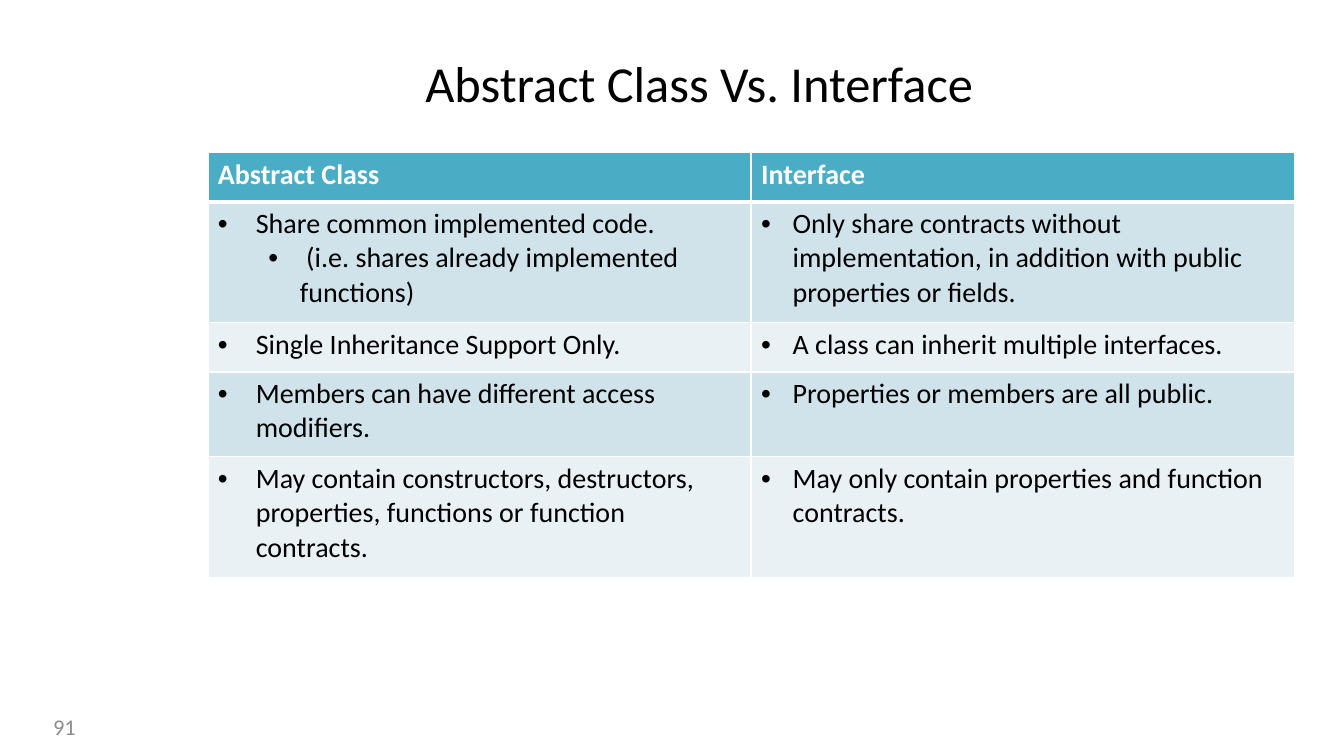
"""Build a slide that compares abstract classes with interfaces in a table."""
from dataclasses import dataclass

from lxml import etree
from pptx import Presentation
from pptx.dml.color import RGBColor
from pptx.enum.text import MSO_ANCHOR, PP_ALIGN
from pptx.oxml.ns import qn
from pptx.util import Pt

CENTER, LEFT, RIGHT = PP_ALIGN.CENTER, PP_ALIGN.LEFT, PP_ALIGN.RIGHT
MIDDLE = MSO_ANCHOR.MIDDLE
TITLE_ONLY = 5


@dataclass(frozen=True)
class Theme:
    font: str = "Calibri"
    bullet_font: str = "Arial"
    ink: str = "000000"
    paper: str = "FFFFFF"
    muted: str = "8C8C8C"
    header: str = "4BACC6"
    bands: tuple = ("D0E3EA", "E9F1F5")
    title_size: int = 36
    table_size: int = 20
    number_size: int = 16
    rule: int = 1
    header_rule: int = 3


class SlideBuilder:
    def __init__(self, deck, theme):
        self.theme = theme
        self.slide = deck.slides.add_slide(deck.slide_layouts[TITLE_ONLY])

    def place(self, shape, box):
        shape.left, shape.top, shape.width, shape.height = map(Pt, box)

    def add_text(self, paragraph, text, size, color, align=LEFT, bold=False):
        paragraph.alignment = align
        run = paragraph.add_run()
        run.text = text
        font = run.font
        font.name, font.size, font.bold = self.theme.font, Pt(size), bold
        font.color.rgb = RGBColor.from_string(color)

    def title(self, text, box):
        heading = self.slide.shapes.title
        self.place(heading, box)
        frame = heading.text_frame
        frame.vertical_anchor = MIDDLE
        self.add_text(frame.paragraphs[0], text, self.theme.title_size, self.theme.ink, CENTER)

    def page_number(self, text, box):
        frame = self.slide.shapes.add_textbox(*map(Pt, box)).text_frame
        frame.word_wrap = True
        frame.vertical_anchor = MIDDLE
        self.add_text(frame.paragraphs[0], text, self.theme.number_size, self.theme.muted, RIGHT)

    def bullet(self, paragraph, margin, hanging):
        properties = paragraph._p.get_or_add_pPr()
        properties.set("marL", str(Pt(margin)))
        properties.set("indent", str(-Pt(hanging)))
        etree.SubElement(properties, qn("a:buFont"), typeface=self.theme.bullet_font)
        etree.SubElement(properties, qn("a:buChar"), char="•")

    def finish_cell(self, cell, fill, top, bottom):
        properties = cell._tc.get_or_add_tcPr()
        rule = self.theme.rule
        for side, width in zip("LRTB", (rule, rule, top, bottom)):
            line = etree.SubElement(properties, qn(f"a:ln{side}"), w=str(Pt(width)))
            paint = etree.SubElement(line, qn("a:solidFill"))
            etree.SubElement(paint, qn("a:srgbClr"), val=self.theme.paper)
        cell.fill.solid()
        cell.fill.fore_color.rgb = RGBColor.from_string(fill)

    def table(self, headings, comparisons, indents, box, row_heights):
        theme = self.theme
        grid = self.slide.shapes.add_table(
            len(row_heights), len(headings), *map(Pt, box)).table
        grid.first_row = grid.horz_banding = False
        for row, height in zip(grid.rows, row_heights):
            row.height = Pt(height)
        for column, heading in enumerate(headings):
            cell = grid.cell(0, column)
            self.add_text(cell.text_frame.paragraphs[0], heading,
                          theme.table_size, theme.paper, bold=True)
            self.finish_cell(cell, theme.header, theme.rule, theme.header_rule)
        for row, points in enumerate(comparisons, 1):
            top = theme.header_rule if row == 1 else theme.rule
            fill = theme.bands[(row - 1) % len(theme.bands)]
            for column, items in enumerate(points):
                cell = grid.cell(row, column)
                frame = cell.text_frame
                for level, text in enumerate(items):
                    paragraph = frame.add_paragraph() if level else frame.paragraphs[0]
                    paragraph.level = level
                    self.add_text(paragraph, text, theme.table_size, theme.ink)
                    self.bullet(paragraph, *indents[column][level])
                self.finish_cell(cell, fill, top, theme.rule)


def main():
    deck = Presentation()
    deck.slide_width, deck.slide_height = Pt(960), Pt(540)
    builder = SlideBuilder(deck, Theme())
    builder.title("Abstract Class Vs. Interface", (148.5, 31.5, 702, 54))
    builder.page_number("91", (0, 504.6, 61.2, 28.8))
    comparisons = [
        (["Share common implemented code.",
          " (i.e. shares already implemented functions)"],
         ["Only share contracts without implementation, "
          "in addition with public properties or fields."]),
        (["Single Inheritance Support Only."],
         ["A class can inherit multiple interfaces."]),
        (["Members can have different access modifiers."],
         ["Properties or members are all public."]),
        (["May contain constructors, destructors, "
          "properties, functions or function contracts."],
         ["May only contain properties and function contracts."]),
    ]
    indents = [[(27, 27), (58.5, 22.5)], [(22.5, 22.5)]]
    builder.table(["Abstract Class", "Interface"], comparisons, indents,
                  (148.5, 108.9, 776, 304), (35.2, 86.4, 35.2, 60.6, 86.4))
    deck.save("out.pptx")


if __name__ == "__main__":
    main()
